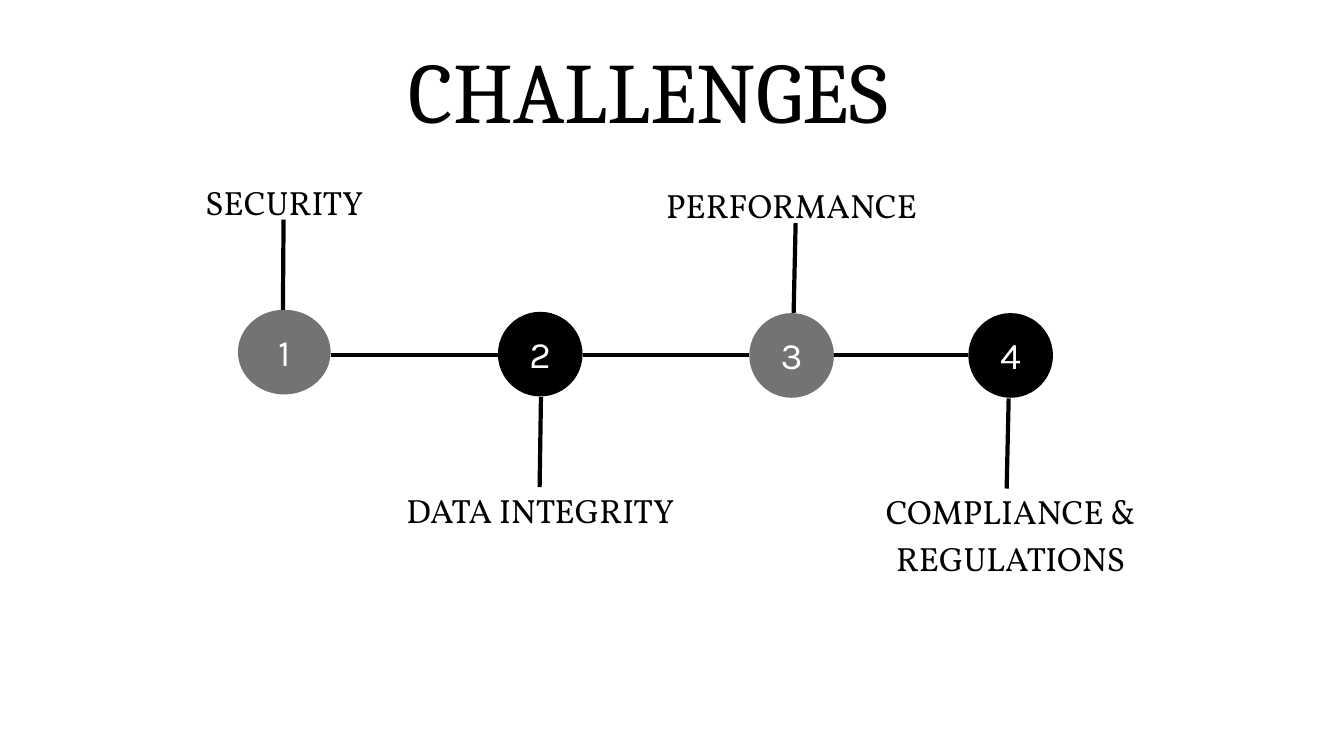
from dataclasses import dataclass

from lxml.etree import SubElement
from pptx import Presentation
from pptx.dml.color import RGBColor
from pptx.enum.shapes import MSO_CONNECTOR, MSO_SHAPE
from pptx.enum.text import MSO_ANCHOR, MSO_AUTO_SIZE, PP_ALIGN
from pptx.oxml.ns import qn
from pptx.util import Inches, Pt

COLORS = {"ink": "000000", "grey": "737373", "paper": "FFFFFF"}
STEM_LENGTH = 1.34
LABEL_LINE = 0.7
LINK_Y = 5.28


@dataclass
class Step:
    """One numbered challenge on the timeline."""
    box: tuple
    label: str
    label_width: float
    fill: str
    above: bool
    stem_shift: tuple


STEPS = [
    Step((3.54, 4.61, 1.38, 1.26), "SECURITY", 2.49, "grey", True, (-0.02, -0.01)),
    Step((7.41, 4.64, 1.26, 1.26), "DATA INTEGRITY", 4.25, "ink", False, (0.01, -0.01)),
    Step((11.15, 4.66, 1.26, 1.26), "PERFORMANCE", 3.85, "grey", True, (0.03, 0.06)),
    Step((14.41, 4.66, 1.26, 1.26), "COMPLIANCE &\nREGULATIONS", 3.96, "ink", False, (-0.03, -0.06)),
]


def rgb(name):
    """Return the named colour."""
    return RGBColor.from_string(COLORS[name])


def write(frame, text, *, font, size, leading, color="ink", anchor=MSO_ANCHOR.TOP, bottom=0):
    """Fill a text frame with centred paragraphs, one for each line of text."""
    frame.text = text
    frame.word_wrap = True
    frame.auto_size = MSO_AUTO_SIZE.NONE
    frame.vertical_anchor = anchor
    frame.margin_left = frame.margin_top = frame.margin_right = 0
    frame.margin_bottom = Inches(bottom)
    for paragraph in frame.paragraphs:
        paragraph.alignment = PP_ALIGN.CENTER
        paragraph.line_spacing = Pt(leading)
        for run in paragraph.runs:
            run.font.name = font
            run.font.size = Pt(size)
            run.font.color.rgb = rgb(color)


def add_line(slide, start, end):
    """Draw a heavy straight line between two points."""
    line = slide.shapes.add_connector(
        MSO_CONNECTOR.STRAIGHT, *(Inches(value) for value in (*start, *end)))
    line.line.color.rgb = rgb("ink")
    line.line.width = Pt(4.5)
    SubElement(line._element.spPr, qn("a:effectLst"))


def add_title(slide, box):
    """Place the slide title in its box."""
    title = slide.shapes.title
    title.left, title.top, title.width, title.height = map(Inches, box)
    write(title.text_frame, "CHALLENGES", font="Cambria", size=92, leading=128.8)


def add_links(slide, boxes):
    """Join each circle to the next one along the timeline."""
    for (left, _, width, _), following in zip(boxes, boxes[1:]):
        add_line(slide, (left + width, LINK_Y), (following[0], LINK_Y))


def add_step(slide, number, step):
    """Place a numbered circle with its stem and label."""
    left, top, width, height = step.box
    center, bottom = left + width / 2, top + height
    stem_y = top if step.above else bottom + 0.01
    stem_end = stem_y - STEM_LENGTH if step.above else stem_y + STEM_LENGTH
    near, far = step.stem_shift
    add_line(slide, (center + near, stem_y), (center + far, stem_end))

    circle = slide.shapes.add_shape(MSO_SHAPE.OVAL, *map(Inches, step.box))
    circle.shadow.inherit = False
    circle.fill.solid()
    circle.fill.fore_color.rgb = rgb(step.fill)
    circle.line.fill.background()
    write(circle.text_frame, str(number), font="Karla", size=39.9, leading=55.9,
          color="paper", anchor=MSO_ANCHOR.MIDDLE, bottom=0.14)

    label_top = top - 2.01 if step.above else bottom + 1.29
    label_height = LABEL_LINE * len(step.label.split("\n"))
    label = slide.shapes.add_textbox(
        Inches(center - step.label_width / 2), Inches(label_top),
        Inches(step.label_width), Inches(label_height))
    write(label.text_frame, step.label, font="Vollkorn", size=36, leading=50.4)


def main():
    """Build and save the slide."""
    deck = Presentation()
    deck.slide_width, deck.slide_height = Inches(20), Inches(11.25)
    slide = deck.slides.add_slide(deck.slide_layouts[5])
    slide.background.fill.solid()
    slide.background.fill.fore_color.rgb = rgb("paper")
    add_title(slide, (5.55, 0.3, 8.2, 1.71))
    add_links(slide, [step.box for step in STEPS])
    for number, step in enumerate(STEPS, 1):
        add_step(slide, number, step)
    deck.save("out.pptx")


if __name__ == "__main__":
    main()
